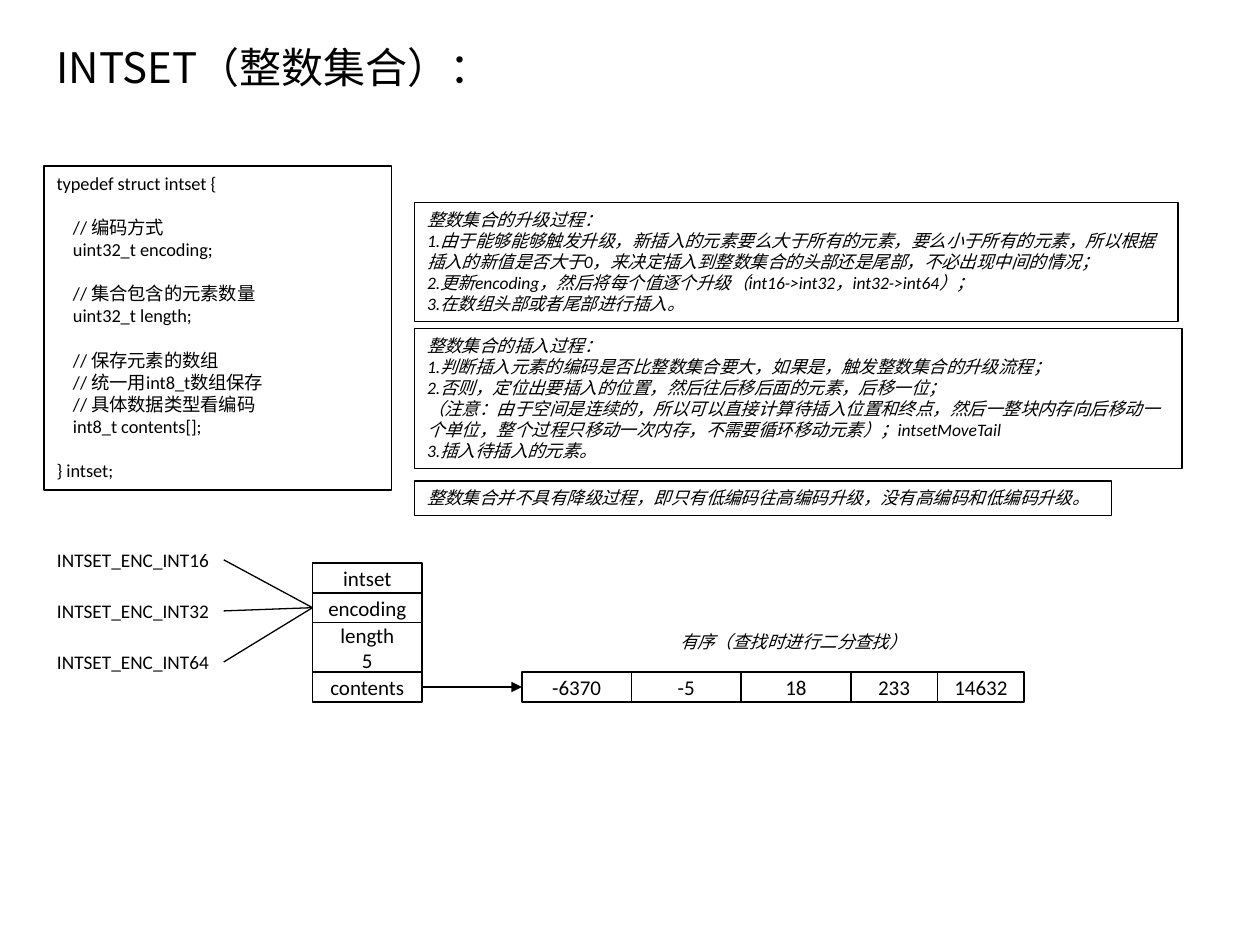
"""Build the slide on the integer set structure."""
from itertools import accumulate

from pptx import Presentation
from pptx import util as u
from pptx.dml.color import RGBColor
from pptx.enum import shapes, text
from pptx.oxml.ns import qn

THEME = {
    "ink": RGBColor(0, 0, 0),
    "paper": RGBColor(255, 255, 255),
    "latin": "Calibri",
    "cjk": "Noto Sans CJK SC",
    "title": 24, "code": 10.5, "note": 10, "label": 11, "cell": 12,
    "code_gap": 12.6, "thin": 0.75, "cell_line": 1,
}

TITLE = "INTSET（整数集合）："
CODE_BLOCKS = [
    ["typedef struct intset {"],
    ["    // 编码方式", "    uint32_t encoding;"],
    ["    // 集合包含的元素数量", "    uint32_t length;"],
    ["    // 保存元素的数组", "    // 统一用int8_t数组保存", "    // 具体数据类型看编码", "    int8_t contents[];"],
    ["} intset;"],
]
NOTES = [
    ((8.36, 4.09, 15.39, 2.39), [
        "整数集合的升级过程：",
        "1.由于能够能够触发升级，新插入的元素要么大于所有的元素，要么小于所有的元素，所以根据",
        "插入的新值是否大于0，来决定插入到整数集合的头部还是尾部，不必出现中间的情况；",
        "2.更新encoding，然后将每个值逐个升级（int16->int32，int32->int64）；",
        "3.在数组头部或者尾部进行插入。",
    ]),
    ((8.36, 6.63, 15.47, 2.82), [
        "整数集合的插入过程：",
        "1.判断插入元素的编码是否比整数集合要大，如果是，触发整数集合的升级流程；",
        "2.否则，定位出要插入的位置，然后往后移后面的元素，后移一位；",
        "（注意：由于空间是连续的，所以可以直接计算待插入位置和终点，然后一整块内存向后移动一",
        "个单位，整个过程只移动一次内存，不需要循环移动元素）；intsetMoveTail",
        "3.插入待插入的元素。",
    ]),
    ((8.36, 9.7, 14.05, 0.69), ["整数集合并不具有降级过程，即只有低编码往高编码升级，没有高编码和低编码升级。"]),
]
CAPTION = "有序（查找时进行二分查找）"
FIELDS = [(["intset"], 0.6), (["encoding"], 0.6), (["length", "5"], 1), (["contents"], 0.6)]
VALUES = [("-6370", 2.21), ("-5", 2.21), ("18", 2.21), ("233", 1.75), ("14632", 1.75)]
ENCODINGS = ["INTSET_ENC_INT16", "INTSET_ENC_INT32", "INTSET_ENC_INT64"]

FIELD_LEFT, FIELD_TOP, FIELD_WIDTH = 6.3, 11.35, 2.21
VALUE_LEFT, VALUE_HEIGHT = 10.52, 0.6
LABEL_LEFT, LABEL_TOP, LABEL_STEP = 0.9, 10.92, 1.03
LABEL_WIDTH, LABEL_HEIGHT = 3.61, 0.73


def write(shape, lines, size, font=THEME["latin"], italic=False, wrap=False, centred=False):
    frame = shape.text_frame
    frame.word_wrap = wrap
    if centred:
        frame.vertical_anchor = text.MSO_ANCHOR.MIDDLE
    else:
        frame.vertical_anchor = text.MSO_ANCHOR.TOP
        frame.auto_size = text.MSO_AUTO_SIZE.SHAPE_TO_FIT_TEXT
    for index, line in enumerate(lines):
        paragraph = frame.add_paragraph() if index else frame.paragraphs[0]
        paragraph.alignment = text.PP_ALIGN.CENTER if centred else text.PP_ALIGN.LEFT
        run = paragraph.add_run()
        run.text = line
        run.font.name = font
        run.font.size = u.Pt(size)
        run.font.italic = italic
        run.font.color.rgb = THEME["ink"]
        east_asian = run.font._element.makeelement(qn("a:ea"), {"typeface": THEME["cjk"]})
        run.font._element.find(qn("a:latin")).addnext(east_asian)
    return frame


def add_text(slide, box, lines, size, **style):
    return write(slide.shapes.add_textbox(*map(u.Cm, box)), lines, size, **style)


def add_box(slide, box, lines, size, fill=None, line=THEME["ink"], width=THEME["thin"], **style):
    shape = slide.shapes.add_shape(shapes.MSO_SHAPE.RECTANGLE, *map(u.Cm, box))
    shape.shadow.inherit = False
    if fill is None:
        shape.fill.background()
    else:
        shape.fill.solid()
        shape.fill.fore_color.rgb = fill
    shape.line.color.rgb = line
    shape.line.width = u.Pt(width)
    return write(shape, lines, size, **style)


def add_cell(slide, box, lines):
    add_box(slide, box, lines, THEME["cell"], fill=THEME["paper"],
            width=THEME["cell_line"], wrap=True, centred=True)


def add_line(slide, start, end, arrow=False):
    connector = slide.shapes.add_connector(shapes.MSO_CONNECTOR.STRAIGHT, *map(u.Cm, start + end))
    connector.line.color.rgb = THEME["ink"]
    connector.line.width = u.Pt(THEME["thin"])
    properties = connector._element.spPr
    properties.append(properties.makeelement(qn("a:effectLst"), {}))
    if arrow:
        outline = connector.line._get_or_add_ln()
        outline.append(outline.makeelement(qn("a:tailEnd"), {"type": "triangle"}))


def add_code(slide):
    lines = [line for block in CODE_BLOCKS for line in block]
    frame = add_box(slide, (0.89, 3.35, 7.01, 6.53), lines, THEME["code"], wrap=True)
    for start in accumulate(len(block) for block in CODE_BLOCKS[:-1]):
        frame.paragraphs[start].space_before = u.Pt(THEME["code_gap"])


def add_diagram(slide):
    heights = [height for _, height in FIELDS]
    tops = list(accumulate(heights, initial=FIELD_TOP))
    for (lines, height), top in zip(FIELDS, tops):
        add_cell(slide, (FIELD_LEFT, top, FIELD_WIDTH, height), lines)

    row_top = tops[len(FIELDS) - 1]
    lefts = accumulate((width for _, width in VALUES), initial=VALUE_LEFT)
    for (value, width), left in zip(VALUES, lefts):
        add_cell(slide, (left, row_top, width, VALUE_HEIGHT), [value])

    arrow_y = row_top + VALUE_HEIGHT / 2
    add_line(slide, (FIELD_LEFT + FIELD_WIDTH, arrow_y), (VALUE_LEFT, arrow_y), arrow=True)

    target = (FIELD_LEFT, tops[1] + heights[1] / 2)
    for index, label in enumerate(ENCODINGS):
        top = LABEL_TOP + index * LABEL_STEP
        add_text(slide, (LABEL_LEFT, top, LABEL_WIDTH, LABEL_HEIGHT), [label], THEME["label"])
        add_line(slide, (LABEL_LEFT + LABEL_WIDTH, top + LABEL_HEIGHT / 2), target)

    add_box(slide, (13.46, 12.6, 5.16, 0.69), [CAPTION], THEME["note"],
            fill=THEME["paper"], line=THEME["paper"], italic=True)


def main():
    presentation = Presentation()
    presentation.slide_width, presentation.slide_height = u.Cm(25.4), u.Cm(19.05)
    slide = presentation.slides.add_slide(presentation.slide_layouts[6])
    add_text(slide, (0.89, 0.71, 11.2, 1.28), [TITLE], THEME["title"], font=THEME["cjk"], wrap=True)
    add_code(slide)
    add_diagram(slide)
    for box, lines in NOTES:
        add_box(slide, box, lines, THEME["note"], italic=True)
    presentation.save("out.pptx")


if __name__ == "__main__":
    main()
